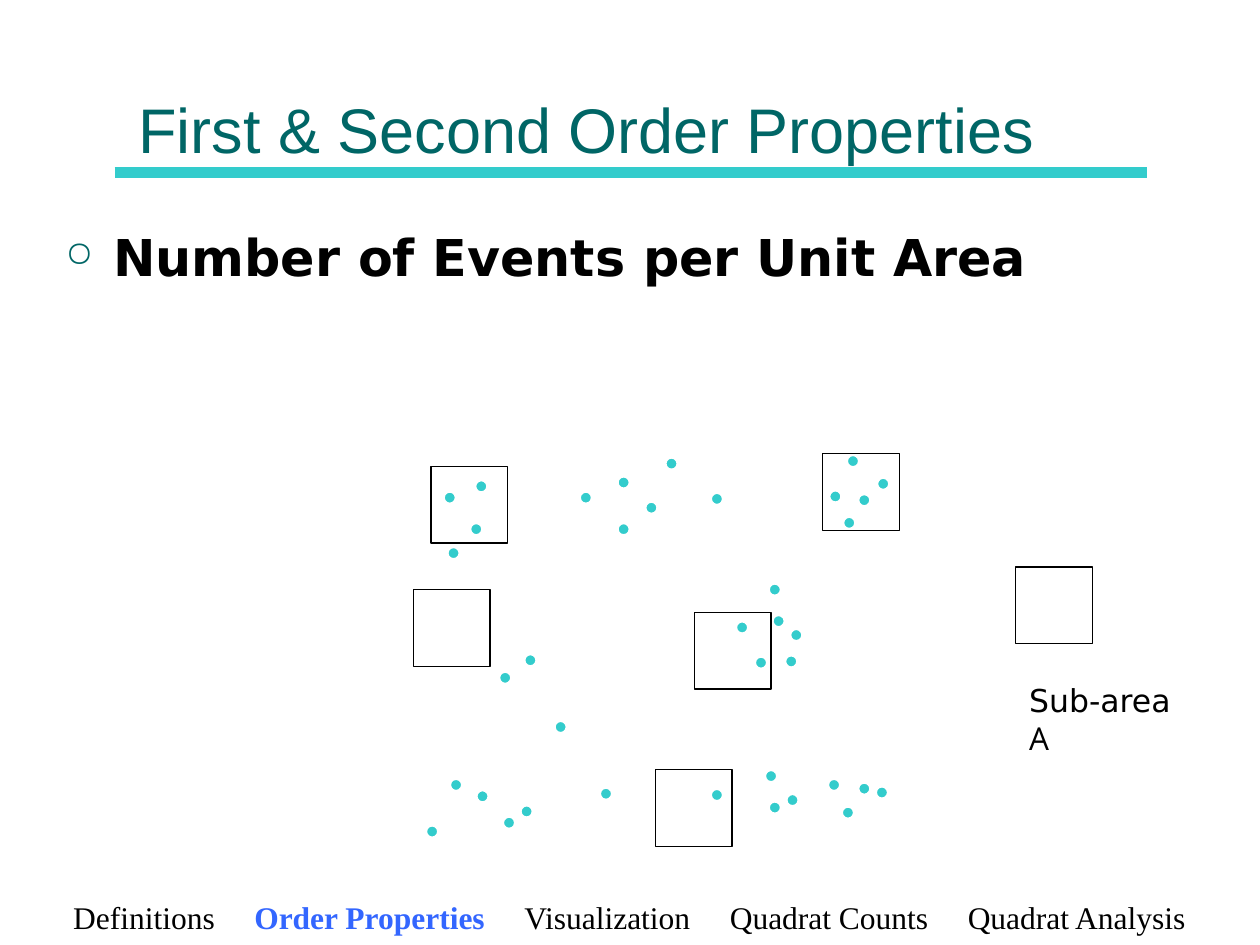
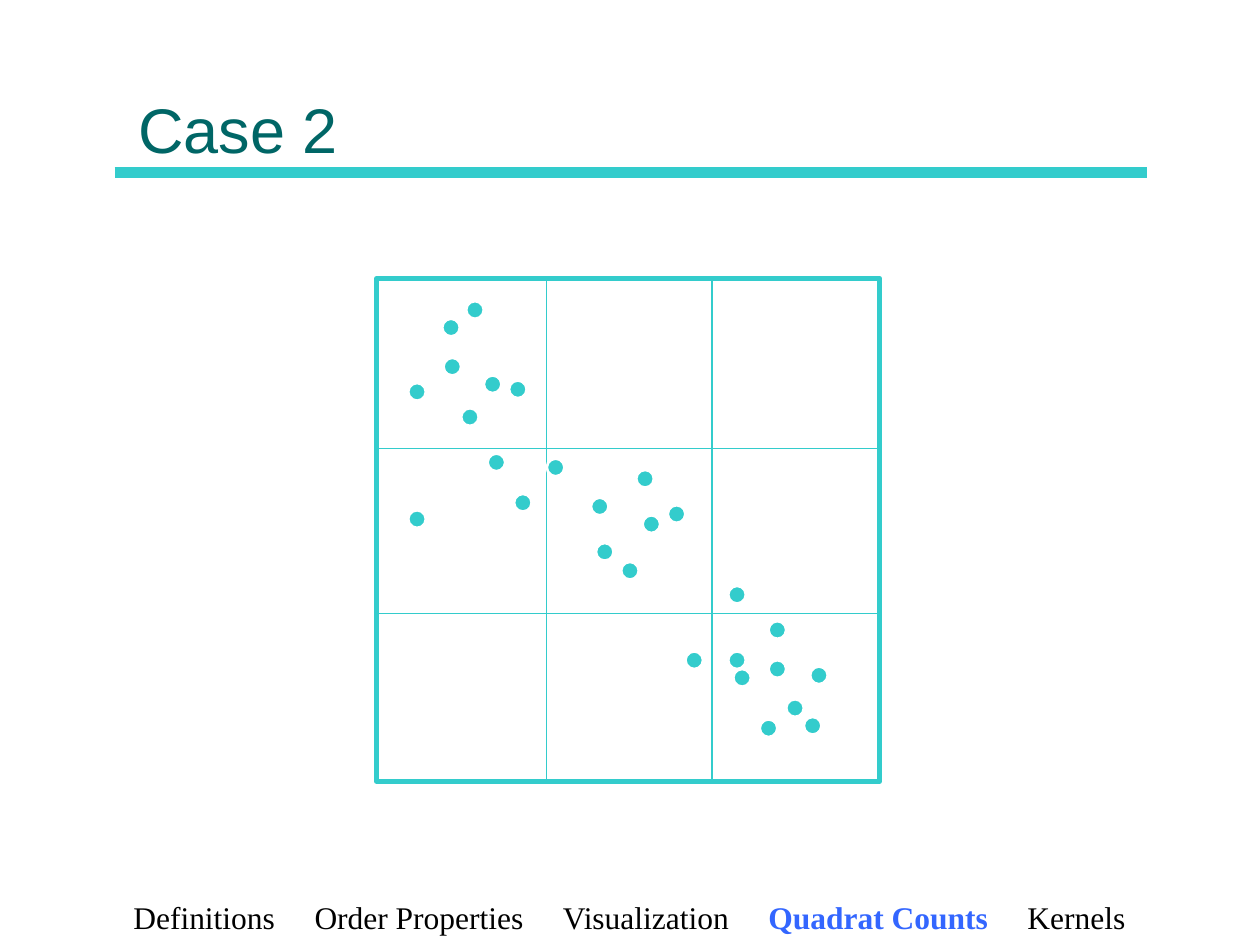
from lxml import etree
from pptx import Presentation
from pptx.dml.color import RGBColor
from pptx.enum.shapes import MSO_CONNECTOR, MSO_SHAPE
from pptx.enum.text import MSO_ANCHOR, PP_ALIGN
from pptx.oxml.ns import qn
from pptx.util import Pt

PX = 9144  # EMU per px, 100 px to the inch
TEAL = RGBColor(0x00, 0x66, 0x66)
AQUA = RGBColor(0x33, 0xCC, 0xCC)
BLUE = RGBColor(0x33, 0x66, 0xFF)
BLACK = RGBColor(0, 0, 0)
WHITE = RGBColor(255, 255, 255)
RECT, OVAL = MSO_SHAPE.RECTANGLE, MSO_SHAPE.OVAL
STRAIGHT = MSO_CONNECTOR.STRAIGHT
BOTTOM, CENTER = MSO_ANCHOR.BOTTOM, PP_ALIGN.CENTER

# Slide content: title, footer topics, current topic, dot size, dot corners
TOPICS = ["Definitions", "Order Properties", "Visualization", "Quadrat Counts"]
EVENTS = [
    (627, 499), (460, 390), (377, 381), (696, 379), (623, 520), (564, 391),
    (373, 415), (584, 493), (490, 415), (416, 519), (352, 390), (396, 533),
    (613, 488), (528, 363), (490, 378), (355, 434), (512, 398), (658, 389),
    (672, 361), (599, 521), (440, 572), (610, 463), (669, 410), (681, 392),
    (399, 648), (357, 618), (378, 627), (413, 639), (338, 655), (624, 630),
    (695, 624), (610, 636), (657, 618), (607, 611), (668, 640), (681, 621),
    (476, 625), (564, 626),
]
POINTS = [
    (493, 446), (544, 517), (638, 569), (434, 364), (582, 531), (578, 517),
    (352, 284), (324, 304), (473, 431), (578, 465), (408, 392), (610, 493),
    (610, 524), (603, 571), (387, 360), (469, 395), (624, 555), (643, 529),
    (351, 253), (324, 405), (370, 239), (530, 401), (404, 302), (510, 409),
    (505, 373), (366, 324), (384, 298),
]
PAGES = [
    ("First & Second Order Properties", TOPICS + ["Quadrat Analysis"],
     "Order Properties", 10, EVENTS),
    ("Case 2", TOPICS + ["Kernels"], "Quadrat Counts", 14, POINTS),
]
AREAS = [(342, 370), (328, 468), (551, 486), (653, 360), (520, 611), (806, 450)]
SIDE = 61
GRID = (299, 221, 399, 399)


def add_text(slide, box, runs):
    """Place a one-paragraph box; runs are (text, font, size, color, bold)."""
    frame = slide.shapes.add_textbox(*[n * PX for n in box]).text_frame
    frame.word_wrap = True
    for text, face, size, color, bold in runs:
        run = frame.paragraphs[0].add_run()
        run.text = text
        run.font.name, run.font.size = face, Pt(size)
        run.font.color.rgb, run.font.bold = color, bold
    return frame


def add_line(slide, ends, width):
    line = slide.shapes.add_connector(STRAIGHT, *[n * PX for n in ends])
    line.line.color.rgb, line.line.width = AQUA, Pt(width)
    etree.SubElement(line._element.spPr, qn("a:effectLst"))


prs = Presentation()
prs.slide_width, prs.slide_height = 1000 * PX, 750 * PX

for title, topics, now, size, dots in PAGES:
    slide = prs.slides.add_slide(prs.slide_layouts[6])

    # Title and rule
    add_line(slide, (91, 137, 910, 137), 6)
    frame = add_text(slide, (100, 12, 800, 125), [(title, "Arial", 36, TEAL, False)])
    frame.vertical_anchor = BOTTOM

    # Outlined boxes: the sub-areas, or the frame of the grid
    first = dots is EVENTS
    if first:
        boxes = [(x, y, SIDE, SIDE) for x, y in AREAS]
        edge, width = BLACK, 0.75
    else:
        boxes, edge, width = [GRID], AQUA, 3
        left, top, wide, high = GRID
        for x in (434, 565):
            add_line(slide, (x, top, x, top + high), 0.75)
        for y in (356, 487):
            add_line(slide, (left, y, left + wide, y), 0.75)

    # Dots and boxes
    marks = [(OVAL, (x, y, size, size), AQUA, WHITE, 1.5) for x, y in dots]
    frames = [(RECT, box, None, edge, width) for box in boxes]
    for kind, box, fill, color, width in marks + frames:
        shape = slide.shapes.add_shape(kind, *[n * PX for n in box])
        shape.shadow.inherit = False
        if fill is None:
            shape.fill.background()
        else:
            shape.fill.solid()
            shape.fill.fore_color.rgb = fill
        shape.line.color.rgb, shape.line.width = color, Pt(width)

    # Bullet and sub-area label
    if first:
        frame = add_text(slide, (42, 174, 913, 60), [
            ("Number of Events per Unit Area", "DejaVu Sans", 29, BLACK, True)])
        props = frame.paragraphs[0]._p.get_or_add_pPr()
        props.set("marL", str(38 * PX))
        props.set("indent", str(-38 * PX))
        tint = etree.SubElement(props, qn("a:buClr"))
        etree.SubElement(tint, qn("a:srgbClr"), val=str(TEAL))
        etree.SubElement(props, qn("a:buSzPct"), val="70000")
        etree.SubElement(props, qn("a:buChar"), char="○")
        add_text(slide, (807, 536, 147, 70), [
            ("Sub-area ", "DejaVu Sans", 18, BLACK, False),
            ("A", "Open Sans", 18, BLACK, False)])

    # Footer: topics parted by one widened space, the current one in bold blue
    runs = []
    for topic in topics:
        if runs:
            runs.append((" ", "Times New Roman", 18, BLACK, False))
        on = topic == now
        runs.append((topic, "Times New Roman", 18, BLUE if on else BLACK, on))
    para = add_text(slide, (40, 708, 919, 40), runs).paragraphs[0]
    para.alignment = CENTER
    for gap in para.runs[1::2]:
        gap.font._element.set("spc", "1800")

prs.save("out.pptx")
